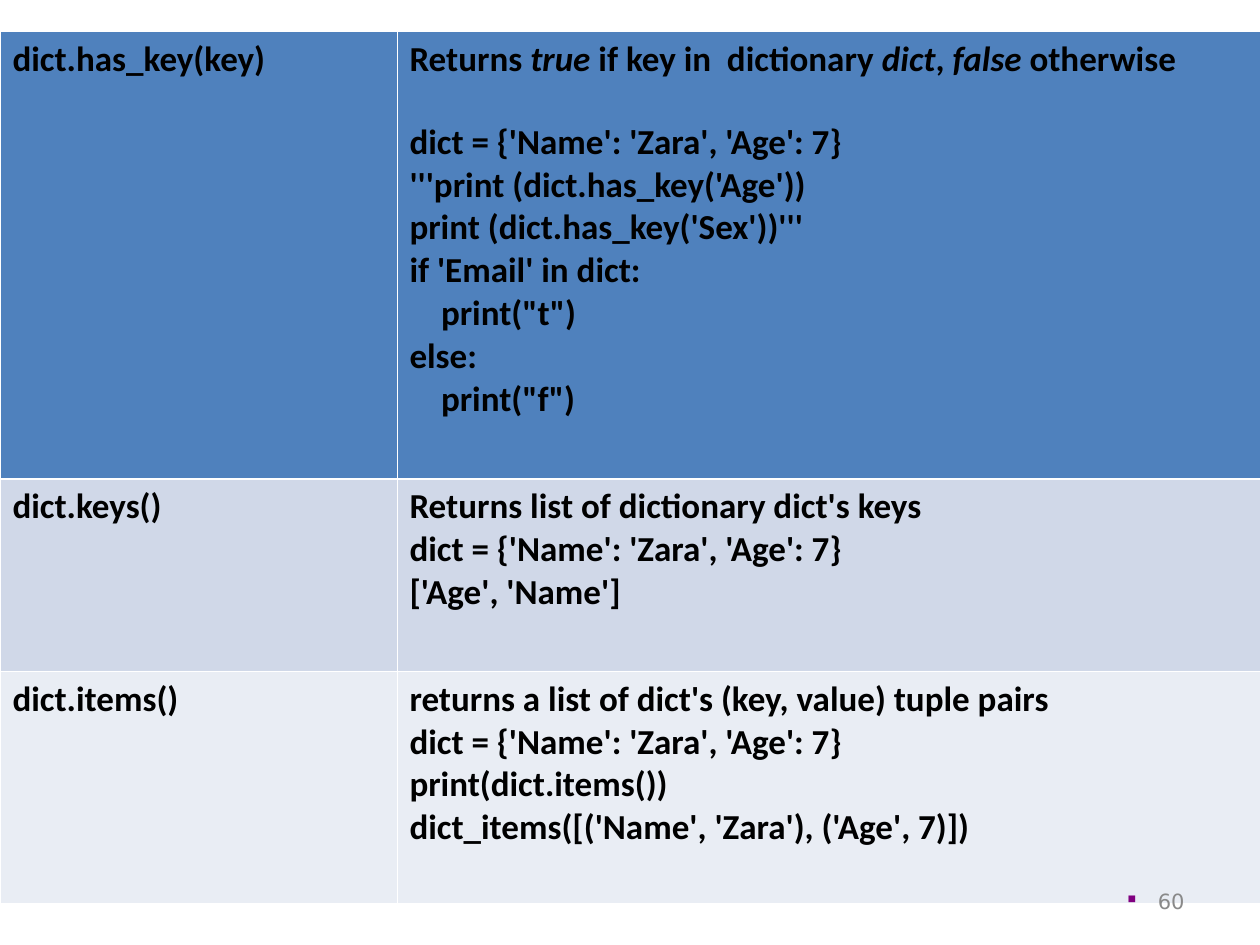
import pptx
import pptx.dml.color
import pptx.enum.text
import pptx.oxml
import pptx.oxml.ns
import pptx.util

Inches = pptx.util.Inches
Pt = pptx.util.Pt
ALIGN = pptx.enum.text.PP_ALIGN
ANCHOR = pptx.enum.text.MSO_ANCHOR
NS = pptx.oxml.ns.nsdecls("a")

THIN, THICK = 0.45, 1.47


def color(code):
    return pptx.dml.color.RGBColor.from_string(code)


def apply(target, values):
    for name, value in values.items():
        setattr(target, name, value)


class Deck:
    body = {"name": "Calibri", "size": Pt(20), "bold": True}
    small = {"name": "DejaVu Sans", "size": Pt(12)}
    ink, gray, line, mark = "000000", "898989", "FFFFFF", "800080"

    def __init__(self):
        self.file = pptx.Presentation()
        apply(self.file, {"slide_width": Inches(10), "slide_height": Inches(7.5)})
        self.slide = self.file.slides.add_slide(self.file.slide_layouts[6])

    def run(self, para, text, font, code):
        run = para.add_run()
        run.text = text
        apply(run.font, font)
        run.font.color.rgb = color(code)

    def border(self, cell, top, base):
        props = cell._tc.get_or_add_tcPr()
        for side, width in zip("LRTB", (THIN, THIN, top, base)):
            props.append(pptx.oxml.parse_xml(
                f'<a:ln{side} {NS} w="{Pt(width)}"><a:solidFill>'
                f'<a:srgbClr val="{self.line}"/></a:solidFill></a:ln{side}>'))

    def cell(self, cell, lines, fill, top, base):
        """Each line is a list of (text, italic) parts plus paragraph values."""
        self.border(cell, top, base)
        cell.fill.solid()
        cell.fill.fore_color.rgb = color(fill)
        frame = cell.text_frame
        for i, (parts, form) in enumerate(lines):
            para = frame.add_paragraph() if i else frame.paragraphs[0]
            for key, value in form.items():
                if key == "indent":
                    para._p.get_or_add_pPr().set("marL", str(value))
                else:
                    setattr(para, key, value)
            for text, slant in parts:
                self.run(para, text, {**self.body, "italic": slant}, self.ink)

    def table(self, box, widths, rows):
        table = self.slide.shapes.add_table(
            len(rows), len(widths), *map(Inches, box)).table
        apply(table, {"first_row": False, "horz_banding": False})
        for col, width in zip(table.columns, widths):
            col.width = Inches(width)
        for r, (height, fill, *cells) in enumerate(rows):
            table.rows[r].height = Inches(height)
            top = THICK if r == 1 else THIN
            base = THICK if r == 0 else THIN
            for c, lines in enumerate(cells):
                self.cell(table.cell(r, c), lines, fill, top, base)

    def number(self, box, text):
        frame = self.slide.shapes.add_textbox(*map(Inches, box)).text_frame
        apply(frame, {"word_wrap": True, "vertical_anchor": ANCHOR.MIDDLE})
        para = frame.paragraphs[0]
        apply(para, {"alignment": ALIGN.RIGHT, "space_before": Pt(5)})
        self.run(para, text, self.small, self.gray)
        props = para._p.get_or_add_pPr()
        props.set("marL", str(Inches(0.24)))
        props.set("indent", str(-Inches(0.24)))
        for xml in (f'<a:buClr {NS}><a:srgbClr val="{self.mark}"/></a:buClr>',
                    f'<a:buSzPct {NS} val="55000"/>',
                    f'<a:buChar {NS} char="■"/>'):
            props.append(pptx.oxml.parse_xml(xml))


def plain(*texts):
    return [([(text, False)], {}) for text in texts]


def nested(text):
    return [([(text, False)], {"indent": Inches(0.25)})]


def main():
    deck = Deck()
    data = "dict = {'Name': 'Zara', 'Age': 7}"

    # Membership test: mixed italics, then the sample code
    lead = ["Returns ", "true", " if key in  dictionary ", "dict", ", ",
            "false", " otherwise"]
    parts = [(text, i % 2 == 1) for i, text in enumerate(lead)]
    test = ([(parts, {"space_after": Pt(23)})]
            + plain(data, "'''print (dict.has_key('Age'))",
                    "print (dict.has_key('Sex'))'''", "if 'Email' in dict:")
            + nested('print("t")') + plain("else:") + nested('print("f")'))

    # Method table: height, fill, method, description
    rows = [
        (3.55, "4F81BD", plain("dict.has_key(key)"), test),
        (1.53, "D0D8E8", plain("dict.keys()"),
         plain("Returns list of dictionary dict's keys", data,
               "['Age', 'Name']")),
        (1.84, "E9EDF4", plain("dict.items()"),
         plain("returns a list of dict's (key, value) tuple pairs", data,
               "print(dict.items())",
               "dict_items([('Name', 'Zara'), ('Age', 7)])")),
    ]
    deck.table((0, 0.25, 10, 6.92), (3.15, 6.85), rows)

    # Slide number
    deck.number((7.17, 6.95, 2.33, 0.4), "60")

    deck.file.save("out.pptx")


if __name__ == "__main__":
    main()
